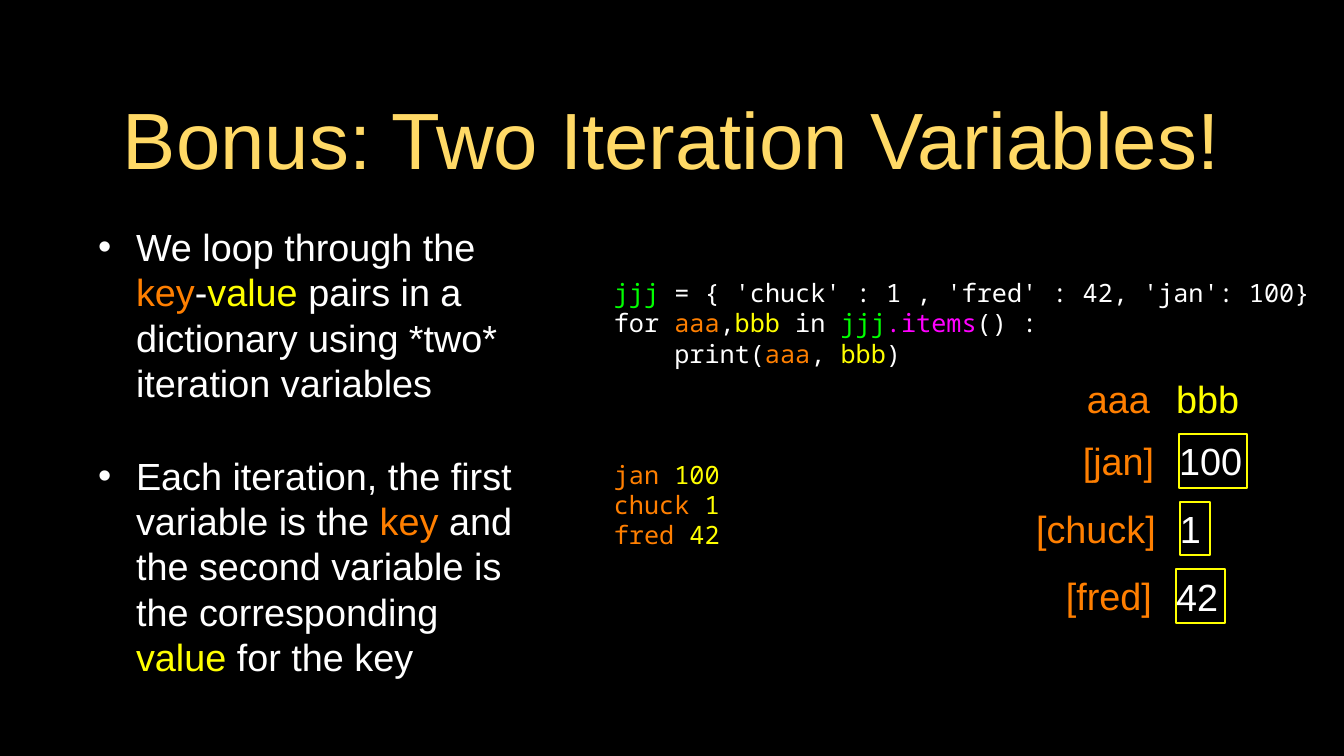
from dataclasses import dataclass

from lxml.etree import SubElement
from pptx import Presentation
from pptx.dml.color import RGBColor as RGB
from pptx.enum.shapes import MSO_SHAPE as SHAPE
from pptx.enum.text import MSO_ANCHOR as ANCHOR, PP_ALIGN as ALIGN
from pptx.oxml.ns import qn
from pptx.util import Inches, Pt


@dataclass(frozen=True)
class Theme:
    """Colours, fonts and type sizes of the slide."""
    back: str = "000000"
    title: str = "FFD966"
    plain: str = "FFFFFF"
    key: str = "FF7F00"
    value: str = "FFFF00"
    dictionary: str = "00FF00"
    method: str = "FF00FF"
    sans: str = "Arial"
    mono: str = "Noto Sans Mono"
    title_size: int = 76
    body_size: int = 36
    code_size: int = 24
    leading: float = 1.2


T = Theme()
BODY = [
    [("We loop through the ", T.plain), ("key", T.key), ("-", T.plain), ("value", T.value),
     (" pairs in a dictionary using *two* iteration variables", T.plain)],
    [("Each iteration, the first variable is the ", T.plain), ("key", T.key),
     (" and the second variable is the corresponding ", T.plain),
     ("value ", T.value), ("for the key", T.plain)],
]
CODE = [
    [("jjj", T.dictionary), (" = { 'chuck' : 1 , 'fred' : 42, 'jan': 100}", T.plain)],
    [("for ", T.plain), ("aaa", T.key), (",", T.plain), ("bbb", T.value), (" in ", T.plain),
     ("jjj", T.dictionary), (".items", T.method), ("() :", T.plain)],
    [("print(", T.plain), ("aaa", T.key), (", ", T.plain), ("bbb", T.value), (")", T.plain)],
]
OUTPUT = [("jan", "100"), ("chuck", "1"), ("fred", "42")]
HEADS = [("aaa", T.key, 14.32, 0.95), ("bbb", T.value, 15.54, 0.87)]
PAIRS = [("jan", 14.24, 1.03, "100", 15.6, 0.9),
         ("chuck", 13.65, 1.64, "1", 15.61, 0.4),
         ("fred", 13.97, 1.27, "42", 15.56, 0.65)]


def set_all(obj, values):
    """Set every attribute in a dict of format values."""
    for name, value in values.items():
        setattr(obj, name, value)


def fill_text(s, paragraphs, size, font=T.sans, margin=0, anchor=ANCHOR.MIDDLE, **para):
    """Write paragraphs of coloured runs into a shape."""
    tf = s.text_frame
    inset = Inches(margin)
    set_all(tf, dict(word_wrap=True, vertical_anchor=anchor, margin_left=inset,
                     margin_right=inset, margin_top=inset, margin_bottom=inset))
    for i, runs in enumerate(paragraphs):
        p = tf.add_paragraph() if i else tf.paragraphs[0]
        set_all(p, {"alignment": ALIGN.LEFT, **para})
        for text, color in runs:
            r = p.add_run()
            r.text = text
            set_all(r.font, dict(name=font, size=Pt(size)))
            r.font.color.rgb = RGB.from_string(color)
    return tf.paragraphs


def add_text(slide, box, paragraphs, size, **style):
    """Add a text box and return its paragraphs."""
    s = slide.shapes.add_textbox(*map(Inches, box))
    return fill_text(s, paragraphs, size, **style)


def add_value_box(slide, box, text):
    """Add an outlined box that holds one value."""
    s = slide.shapes.add_shape(SHAPE.RECTANGLE, *map(Inches, box))
    s.shadow.inherit = False
    s.fill.background()
    s.line.color.rgb = RGB.from_string(T.value)
    s.line.width = Pt(2)
    fill_text(s, [[(text, T.plain)]], T.body_size)


def set_indent(p, left, first=0):
    """Set the left margin and first-line indent of a paragraph."""
    pPr = p._p.get_or_add_pPr()
    pPr.set("marL", str(Inches(left)))
    pPr.set("indent", str(Inches(first)))
    return pPr


def add_bullet(p):
    """Give a paragraph a hanging white bullet."""
    pPr = set_indent(p, 0.5, -0.5)
    color = SubElement(pPr, qn("a:buClr"))
    SubElement(color, qn("a:srgbClr")).set("val", T.plain)
    SubElement(pPr, qn("a:buFont")).set("typeface", T.sans)
    SubElement(pPr, qn("a:buChar")).set("char", "•")


def add_body(slide):
    """Add the bulleted explanation."""
    paragraphs = add_text(slide, (1.26, 2.85, 5.9, 6.24), BODY, T.body_size, margin=0.04,
                          line_spacing=Pt(T.body_size * T.leading), space_after=Pt(10))
    paragraphs[1].space_before = Pt(35)
    for p in paragraphs:
        add_bullet(p)


def add_code(slide):
    """Add the program and the lines it prints."""
    output = [[(key, T.key), (" " + value, T.value)] for key, value in OUTPUT]
    leading = T.code_size * T.leading
    paragraphs = add_text(slide, (8.12, 3.67, 9.31, 4.4), CODE + output, T.code_size,
                          font=T.mono, anchor=ANCHOR.TOP, line_spacing=Pt(leading))
    set_indent(paragraphs[2], 0.8)
    paragraphs[len(CODE)].space_before = Pt(3 * leading)


def add_pairs(slide):
    """Add the table of keys and boxed values."""
    for text, color, left, width in HEADS:
        add_text(slide, (left, 4.93, width, 0.68), [[(text, color)]], T.body_size,
                 alignment=ALIGN.CENTER)
    for i, (key, left, width, value, box_left, box_width) in enumerate(PAIRS):
        top = 5.74 + 0.895 * i
        add_text(slide, (left, top + 0.01, width, 0.68), [[(f"[{key}]", T.key)]],
                 T.body_size, alignment=ALIGN.RIGHT)
        add_value_box(slide, (box_left, top, box_width, 0.71), value)


def main():
    """Build and save the slide."""
    prs = Presentation()
    set_all(prs, dict(slide_width=Inches(17.78), slide_height=Inches(10)))
    slide = prs.slides.add_slide(prs.slide_layouts[6])
    slide.background.fill.solid()
    slide.background.fill.fore_color.rgb = RGB.from_string(T.back)
    add_text(slide, (1.26, 0.86, 15.24, 1.91), [[("Bonus: Two Iteration Variables!", T.title)]],
             T.title_size, margin=0.04, alignment=ALIGN.CENTER)
    add_body(slide)
    add_code(slide)
    add_pairs(slide)
    prs.save("out.pptx")


main()
